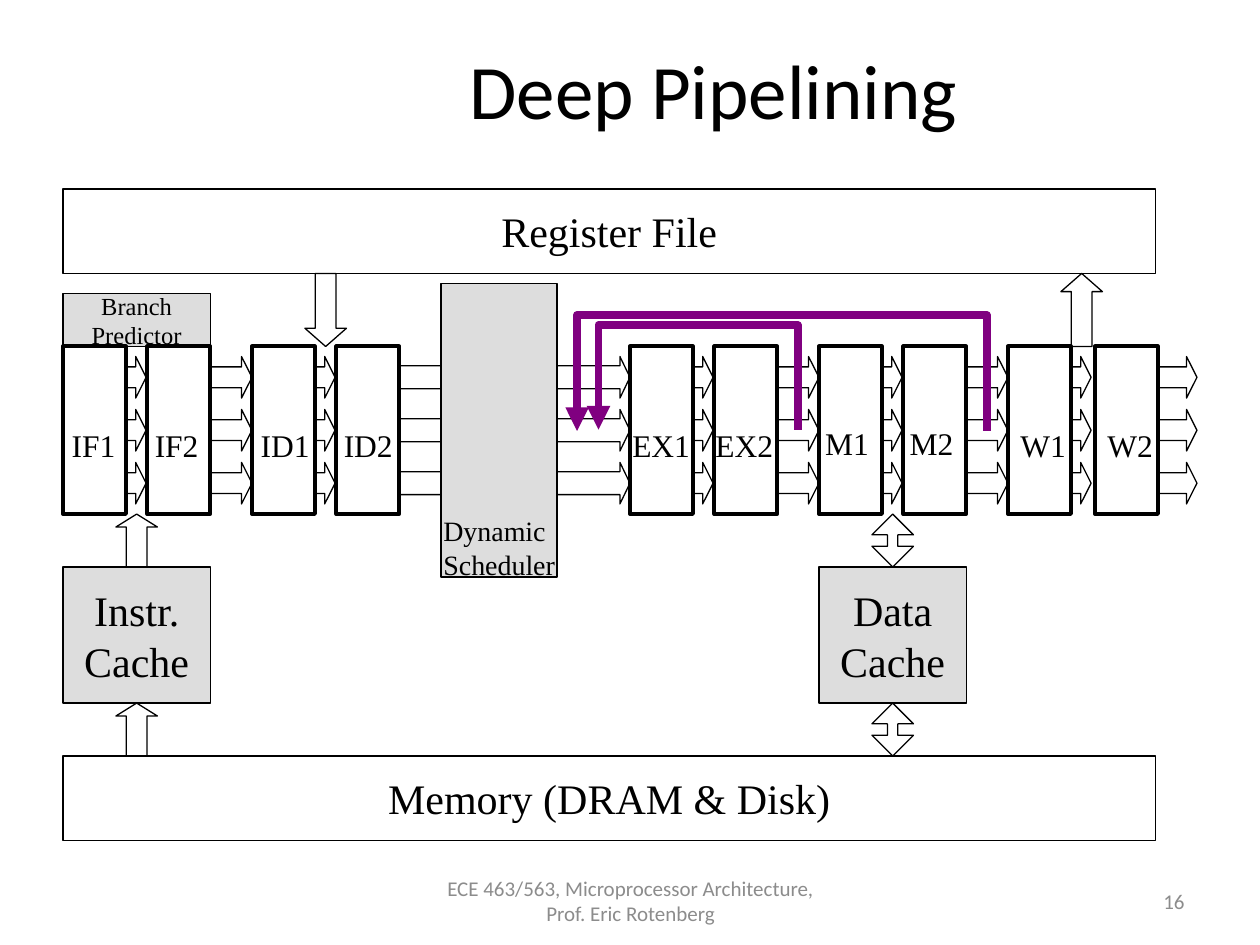
from copy import deepcopy

from lxml import etree
from pptx import Presentation
from pptx.dml.color import RGBColor
from pptx.enum import shapes, text
from pptx.oxml import ns
from pptx.util import Inches, Pt

COLORS = {"ink": "000000", "paper": "FFFFFF", "unit": "DDDDDD",
          "bypass": "800080", "footer": "8C8C8C"}
SERIF, SANS = "Times New Roman", "Calibri"
SHAPE = shapes.MSO_SHAPE
ALIGN = text.PP_ALIGN
MIDDLE = text.MSO_ANCHOR.MIDDLE

STAGE_TOP, STAGE_WIDTH, STAGE_HEIGHT = 2.75, 0.5, 1.33
STAGES = [("IF1", 0.5, 0.47, 0.55), ("IF2", 1.17, 1.13, 0.55),
          ("ID1", 2, 1.97, 0.59), ("ID2", 2.67, 2.63, 0.59),
          ("EX1", 5, 4.92, 0.66), ("EX2", 5.67, 5.58, 0.66),
          ("M1", 6.5, 6.45, 0.55), ("M2", 7.17, 7.12, 0.55),
          ("W1", 8, 8, 0.56), ("W2", 8.69, 8.69, 0.56)]
LANES = [2.83, 3.25, 3.67]
SHORT_FLOWS = [0.83, 1.67, 2.33, 5.33, 6.17, 6.83, 7.67, 8.33, 9.17]


def rgb(color):
    """Return the named colour as an RGBColor."""
    return RGBColor.from_string(COLORS[color])


def write(shape, words, size, font=SERIF, color="ink", align=ALIGN.CENTER,
          anchor=MIDDLE, wrap=False):
    """Fill a shape's text frame with one formatted paragraph."""
    frame = shape.text_frame
    for name, value in {"word_wrap": wrap, "vertical_anchor": anchor}.items():
        setattr(frame, name, value)
    paragraph = frame.paragraphs[0]
    paragraph.text = words
    paragraph.alignment = align
    for run in paragraph.runs:
        for name, value in {"size": Pt(size), "name": font}.items():
            setattr(run.font, name, value)
        run.font.color.rgb = rgb(color)
    for line_break in paragraph._p.findall(ns.qn("a:br")):
        line_break.append(deepcopy(paragraph.runs[0]._r.rPr))


def label(slide, box, words, size, **formats):
    """Place a text box in the given box."""
    write(slide.shapes.add_textbox(*map(Inches, box)), words, size, **formats)


def outline(shape, fill=None, color="ink", weight=0.75):
    """Give a shape its fill and line, without a shadow."""
    shape.shadow.inherit = False
    if fill:
        shape.fill.solid()
        shape.fill.fore_color.rgb = rgb(fill)
    else:
        shape.fill.background()
    shape.line.color.rgb = rgb(color)
    shape.line.width = Pt(weight)


def block(slide, box, words="", size=24, fill="paper", weight=0.75):
    """Place a rectangular hardware unit in the given box."""
    unit = slide.shapes.add_shape(SHAPE.RECTANGLE, *map(Inches, box))
    outline(unit, fill, weight=weight)
    if words:
        write(unit, words, size)


def arrow(slide, kind, box, shaft=0.5, head=0.25):
    """Place an unfilled block arrow in the given box."""
    flow = slide.shapes.add_shape(kind, *map(Inches, box))
    outline(flow)
    flow.adjustments[0], flow.adjustments[1] = shaft, head


def lanes(slide):
    """Draw the three parallel lanes that run between the stages."""
    for top in LANES:
        for left in SHORT_FLOWS:
            arrow(slide, SHAPE.RIGHT_ARROW, (left, top, 0.33, 0.33))
        arrow(slide, SHAPE.RIGHT_ARROW, (3.17, top, 1.83, 0.33), 0.552, 0.24)


def stages(slide):
    """Draw the pipeline stages and their names."""
    for name, left, name_left, name_width in STAGES:
        block(slide, (left, STAGE_TOP, STAGE_WIDTH, STAGE_HEIGHT), weight=2.25)
        name_top = 3.32 if name.startswith("M") else 3.33
        label(slide, (name_left, name_top, name_width, 0.4), name, 18,
              align=ALIGN.LEFT, anchor=text.MSO_ANCHOR.TOP)


def bypass(slide, left, top, width, height):
    """Draw a forwarding path up, left and down around the given box."""
    right, bottom = left + width, top + height
    corners = [(right, top), (left, top), (left, bottom)]
    builder = slide.shapes.build_freeform(Inches(right), Inches(bottom))
    builder.add_line_segments([tuple(map(Inches, c)) for c in corners], close=False)
    route = builder.convert_to_shape()
    outline(route, color="bypass", weight=4.5)
    line = route.line._get_or_add_ln()
    etree.SubElement(line, ns.qn("a:round"))
    etree.SubElement(line, ns.qn("a:tailEnd"), type="triangle")


def register_file(slide, left, top, width, height):
    """Draw the register file with its read and write ports."""
    block(slide, (left, top, width, height), "Register File")
    for kind, offset in ((SHAPE.DOWN_ARROW, 1.92), (SHAPE.UP_ARROW, 7.92)):
        arrow(slide, kind, (left + offset, top + height, 0.33, 0.58), head=0.438)


def cache(slide, left, top, width, height, words, kind, head):
    """Draw a cache with its links to the stages above and memory below."""
    block(slide, (left, top, width, height), words, fill="unit")
    for link_top in (top - 0.42, top + height):
        arrow(slide, kind, (left + 0.42, link_top, 0.33, 0.42), head=head)


def scheduler(slide, left, top, width, height):
    """Draw the dynamic scheduler with its name at the foot."""
    block(slide, (left, top, width, height), fill="unit")
    label(slide, (left - 0.08, top + 1.78, 1.09, 0.64), "Dynamic\nScheduler", 16,
          align=ALIGN.LEFT, anchor=text.MSO_ANCHOR.TOP)


def footer(slide, top, height):
    """Place the course line and the slide number."""
    formats = {"font": SANS, "color": "footer", "wrap": True}
    label(slide, (3.42, top, 3.17, height),
          "ECE 463/563, Microprocessor Architecture, Prof. Eric Rotenberg", 12, **formats)
    label(slide, (7.17, top, 2.33, height), "16", 12, align=ALIGN.RIGHT, **formats)


def main():
    """Build the slide and save it."""
    deck = Presentation()
    deck.slide_width, deck.slide_height = Inches(10), Inches(7.5)
    slide = deck.slides.add_slide(deck.slide_layouts[6])
    label(slide, (2.08, 0.08, 7.17, 1.25), "Deep Pipelining", 44, font=SANS, wrap=True)
    lanes(slide)
    register_file(slide, 0.5, 1.5, 8.67, 0.67)
    block(slide, (0.5, 6, 8.67, 0.67), "Memory (DRAM & Disk)")
    block(slide, (0.5, 2.33, 1.17, 0.42), "Branch\nPredictor", 14, "unit")
    stages(slide)
    bypass(slide, 4.75, 2.58, 1.58, 0.83)
    bypass(slide, 4.58, 2.5, 3.25, 0.92)
    cache(slide, 0.5, 4.5, 1.17, 1.08, "Instr.\nCache", SHAPE.UP_ARROW, 0.312)
    cache(slide, 6.5, 4.5, 1.17, 1.08, "Data\nCache", SHAPE.UP_DOWN_ARROW, 0.25)
    scheduler(slide, 3.5, 2.25, 0.92, 2.33)
    footer(slide, 6.95, 0.4)
    deck.save("out.pptx")


if __name__ == "__main__":
    main()
